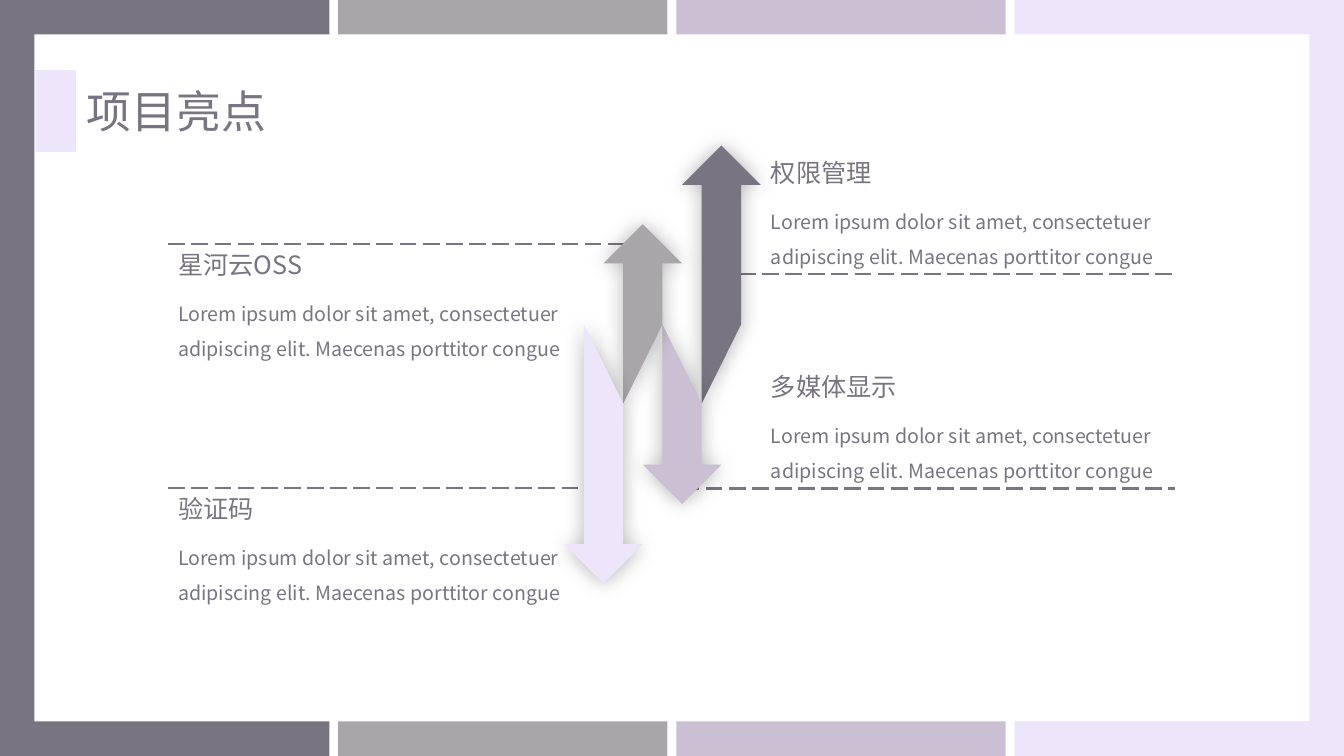
from dataclasses import dataclass

from lxml import etree
from pptx import Presentation
from pptx.dml.color import RGBColor
from pptx.enum.dml import MSO_LINE
from pptx.enum.shapes import MSO_CONNECTOR, MSO_SHAPE
from pptx.enum.text import MSO_ANCHOR, MSO_AUTO_SIZE, PP_ALIGN
from pptx.oxml.ns import qn
from pptx.util import Cm, Pt

RECTANGLE = MSO_SHAPE.RECTANGLE
STRAIGHT = MSO_CONNECTOR.STRAIGHT
LONG_DASH = MSO_LINE.LONG_DASH
TOP = MSO_ANCHOR.TOP
FIT_SHAPE = MSO_AUTO_SIZE.SHAPE_TO_FIT_TEXT
LEFT = PP_ALIGN.LEFT


@dataclass(frozen=True)
class Theme:
    font: str = "Noto Sans CJK SC"
    dark: str = "787481"
    grey: str = "A9A6AA"
    mauve: str = "CBBFD3"
    pale: str = "EDE5FA"
    white: str = "FFFFFF"
    shadow: str = "000000"
    title_size: int = 32
    heading_size: int = 18
    body_size: int = 14


THEME = Theme()
SLIDE_WIDTH, SLIDE_HEIGHT = 33.87, 19.05
BAR_WIDTH = 8.3
FRAME = 0.87
ARROW_UNIT = 0.99
FIRST_ARROW_CENTRE = 15.21
FOLD_TOP, FOLD_BOTTOM = 8.18, 10.17
BODY_TEXT = (
    "Lorem ipsum dolor sit amet, consectetuer "
    "adipiscing elit. Maecenas porttitor congue"
)


def fill_plain(shape, color):
    shape.shadow.inherit = False
    shape.fill.solid()
    shape.fill.fore_color.rgb = RGBColor.from_string(color)
    shape.line.fill.background()


def add_rectangle(slide, left, top, width, height, color):
    shape = slide.shapes.add_shape(
        RECTANGLE, Cm(left), Cm(top), Cm(width), Cm(height)
    )
    fill_plain(shape, color)


def write_text(shape, text, size, color=THEME.dark, line_spacing=None):
    frame = shape.text_frame
    frame.word_wrap = True
    frame.auto_size = FIT_SHAPE
    frame.vertical_anchor = TOP
    paragraph = frame.paragraphs[0]
    paragraph.alignment = LEFT
    paragraph.line_spacing = line_spacing
    run = paragraph.add_run()
    run.text = text
    run.font.size = Pt(size)
    run.font.name = THEME.font
    run.font.color.rgb = RGBColor.from_string(color)
    properties = run.font._element
    etree.SubElement(properties, qn("a:ea"), typeface=THEME.font)


def add_text(slide, left, top, width, height, text, **text_format):
    shape = slide.shapes.add_textbox(Cm(left), Cm(top), Cm(width), Cm(height))
    write_text(shape, text, **text_format)


def add_dashed_line(slide, start, end, y):
    connector = slide.shapes.add_connector(
        STRAIGHT, Cm(start), Cm(y), Cm(end), Cm(y)
    )
    connector.line.color.rgb = RGBColor.from_string(THEME.dark)
    connector.line.width = Pt(1.5)
    connector.line.dash_style = LONG_DASH
    etree.SubElement(connector._element.spPr, qn("a:effectLst"))


def add_glow_shadow(shape):
    effects = shape._element.spPr.find(qn("a:effectLst"))
    shadow = etree.SubElement(
        effects, qn("a:outerShdw"), blurRad=str(Pt(15)), dist="0", dir="0"
    )
    color = etree.SubElement(shadow, qn("a:srgbClr"), val=THEME.shadow)
    etree.SubElement(color, qn("a:alpha"), val="30000")


def add_folded_arrow(slide, position, tip, color):
    centre = FIRST_ARROW_CENTRE + position * ARROW_UNIT
    points_up = tip < FOLD_TOP
    side = 1 if points_up else -1
    neck = tip + side * ARROW_UNIT
    head = ARROW_UNIT * side
    shaft = head / 2
    high_end, low_end = centre + shaft, centre - shaft
    if not points_up:
        high_end, low_end = low_end, high_end
    right_end, left_end = (
        (FOLD_TOP, FOLD_BOTTOM) if points_up else (FOLD_BOTTOM, FOLD_TOP)
    )
    shaft = ARROW_UNIT / 2
    points = [
        (centre, tip),
        (centre + ARROW_UNIT, neck),
        (centre + shaft, neck),
        (centre + shaft, right_end),
        (centre - shaft, left_end),
        (centre - shaft, neck),
        (centre - ARROW_UNIT, neck),
    ]
    outline = [(Cm(x), Cm(y)) for x, y in points]
    builder = slide.shapes.build_freeform(*outline[0])
    builder.add_line_segments(outline[1:], close=True)
    arrow = builder.convert_to_shape()
    fill_plain(arrow, color)
    add_glow_shadow(arrow)


def add_highlight(slide, heading, left, top, line):
    add_dashed_line(slide, *line)
    add_text(slide, left, top, 8.48, 1.02, heading, size=THEME.heading_size)
    add_text(
        slide, left, top + 1.03, 10.45, 1.93, BODY_TEXT,
        size=THEME.body_size, line_spacing=1.5,
    )


def add_background(slide):
    pitch = (SLIDE_WIDTH - BAR_WIDTH) / 3
    colors = (THEME.dark, THEME.grey, THEME.mauve, THEME.pale)
    for index, color in enumerate(colors):
        add_rectangle(slide, index * pitch, 0, BAR_WIDTH, SLIDE_HEIGHT, color)
    add_rectangle(
        slide, FRAME, FRAME, SLIDE_WIDTH - 2 * FRAME,
        SLIDE_HEIGHT - 2 * FRAME, THEME.white,
    )


def add_title(slide, text):
    add_rectangle(slide, 0.9, 1.77, 1.02, 2.06, THEME.pale)
    title = slide.shapes.title
    title.left, title.top = Cm(1.93), Cm(1.98)
    title.width, title.height = Cm(11.66), Cm(1.62)
    write_text(title, text, size=THEME.title_size)
    slide.shapes.element.append(title.element)


def main():
    presentation = Presentation()
    presentation.slide_width = Cm(SLIDE_WIDTH)
    presentation.slide_height = Cm(SLIDE_HEIGHT)
    slide = presentation.slides.add_slide(presentation.slide_layouts[5])
    add_background(slide)

    highlights = (
        ("权限管理", 19.18, 3.84, (18.62, 29.62, 6.91)),
        ("星河云OSS", 4.24, 6.15, (4.24, 15.8, 6.15)),
        ("多媒体显示", 19.18, 9.22, (17.2, 29.62, 12.31)),
        ("验证码", 4.24, 12.3, (4.24, 15.21, 12.3)),
    )
    for heading, left, top, line in highlights:
        add_highlight(slide, heading, left, top, line)

    arrows = (
        (3, 3.67, THEME.dark),
        (2, 12.7, THEME.mauve),
        (1, 5.65, THEME.grey),
        (0, 14.7, THEME.pale),
    )
    for position, tip, color in arrows:
        add_folded_arrow(slide, position, tip, color)

    add_title(slide, "项目亮点")
    presentation.save("out.pptx")


if __name__ == "__main__":
    main()
